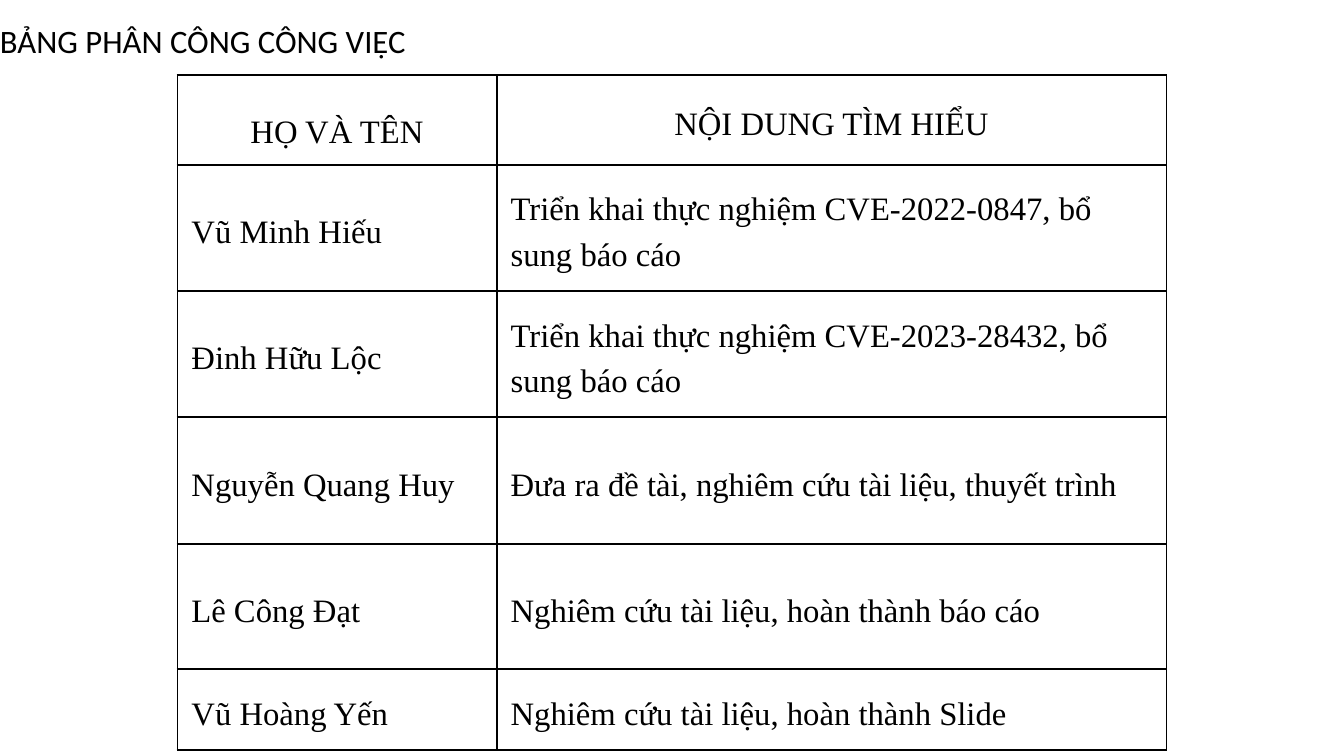
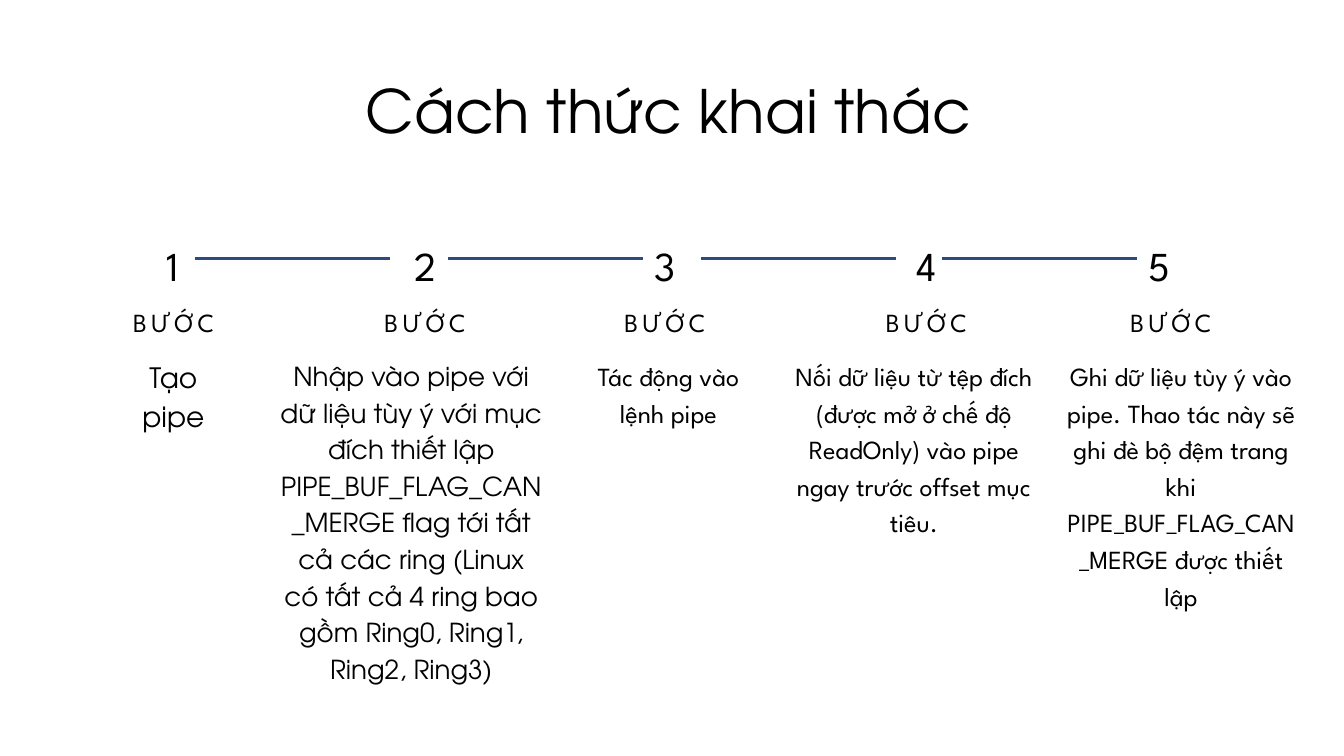
from lxml import etree
from pptx import Presentation
from pptx.dml.color import RGBColor
from pptx.enum.shapes import MSO_CONNECTOR
from pptx.enum.text import MSO_ANCHOR, PP_ALIGN
from pptx.oxml.ns import qn
from pptx.util import Pt

LEFT, CENTER = PP_ALIGN.LEFT, PP_ALIGN.CENTER
MIDDLE, BOTTOM = MSO_ANCHOR.MIDDLE, MSO_ANCHOR.BOTTOM
STRAIGHT = MSO_CONNECTOR.STRAIGHT
SIDE_LEFT, SIDE_RIGHT = 1, 3

BLACK, BLUE = "000000", "2B4B82"
SERIF, SANS = "Times New Roman", "Calibri"
ROUND, SPARTAN = "TeX Gyre Adventor", "League Spartan"

ASSIGNMENTS = [
    ("HỌ VÀ TÊN", "NỘI DUNG TÌM HIỂU"),
    ("Vũ Minh Hiếu", "Triển khai thực nghiệm CVE-2022-0847, bổ sung báo cáo"),
    ("Đinh Hữu Lộc", "Triển khai thực nghiệm CVE-2023-28432, bổ sung báo cáo"),
    ("Nguyễn Quang Huy", "Đưa ra đề tài, nghiêm cứu tài liệu, thuyết trình"),
    ("Lê Công Đạt", "Nghiêm cứu tài liệu, hoàn thành báo cáo"),
    ("Vũ Hoàng Yến", "Nghiêm cứu tài liệu, hoàn thành Slide"),
]
COLUMN_WIDTHS = [342, 717.84]
ROW_HEIGHTS = [95.8, 135.4, 135.4, 135.4, 134.6, 86.4]

STEPS = [
    (185, 186.1, 123.1, 125.3, ROUND, 30, "Tạo pipe"),
    (455.8, 455.4, 300.2, 280.8, ROUND, 28,
     "Nhập vào pipe với dữ liệu tùy ý với mục đích thiết lập "
     "PIPE_BUF_FLAG_CAN_MERGE flag tới tất cả các ring (Linux có tất cả "
     "4 ring bao gồm Ring0, Ring1, Ring2, Ring3)"),
    (712.8, 712.4, 632.2, 167.8, SPARTAN, 28, "Tác động vào lệnh pipe"),
    (992.9, 992.5, 851, 256.3, SPARTAN, 28,
     "Nối dữ liệu từ tệp đích (được mở ở chế độ ReadOnly) vào pipe ngay "
     "trước offset mục tiêu."),
    (1242, 1254.6, 1141.9, 247, SPARTAN, 28,
     "Ghi dữ liệu tùy ý vào pipe. Thao tác này sẽ ghi đè bộ đệm trang khi "
     "PIPE_BUF_FLAG_CAN_MERGE được thiết lập"),
]
NUMBER_WIDTH, NUMBER_HEIGHT, NUMBER_TOP = 47.5, 57.6, 248.4
LABEL_WIDTH = 194
LINE_STARTS, LINE_LENGTH = [208.8, 480, 751, 1009.5], 208.6
JOINED_STARTS, JOINED_ENDS = (0, 1), (1, 3)


def color(value):
    return RGBColor.from_string(value)


class Slides:
    def __init__(self):
        self.deck = Presentation()
        self.deck.slide_width, self.deck.slide_height = Pt(1440), Pt(810)
        self.page = None

    def new_page(self):
        self.page = self.deck.slides.add_slide(self.deck.slide_layouts[6])

    def add_words(self, frame, text, font, size, leading, align, spacing=0):
        frame.word_wrap = True
        para = frame.paragraphs[0]
        para.alignment = align
        para.line_spacing = Pt(leading)
        span = para.add_run()
        span.text = text
        span.font.name = font
        span.font.size = Pt(size)
        span.font.color.rgb = color(BLACK)
        if spacing:
            span._r.get_or_add_rPr().set("spc", str(round(spacing * 100)))

    def text(self, left, top, width, height, *style, **options):
        box = self.page.shapes.add_textbox(Pt(left), Pt(top), Pt(width), Pt(height))
        frame = box.text_frame
        frame.margin_left = frame.margin_right = 0
        frame.margin_top = frame.margin_bottom = 0
        self.add_words(frame, *style, **options)
        return box

    def line(self, left, right, y, start=None, end=None):
        line = self.page.shapes.add_connector(STRAIGHT, Pt(left), Pt(y), Pt(right), Pt(y))
        if start:
            line.begin_connect(start, SIDE_RIGHT)
        if end:
            line.end_connect(end, SIDE_LEFT)
        line.line.color.rgb = color(BLUE)
        line.line.width = Pt(3)
        etree.SubElement(line._element.spPr, qn("a:effectLst"))

    def border(self, cell):
        properties = cell._tc.get_or_add_tcPr()
        for side in ("lnL", "lnR", "lnT", "lnB"):
            edge = etree.SubElement(properties, qn(f"a:{side}"), w=str(Pt(2.25)))
            fill = etree.SubElement(edge, qn("a:solidFill"))
            etree.SubElement(fill, qn("a:srgbClr"), val=BLACK)

    def table(self, left, top, widths, heights, rows):
        table = self.page.shapes.add_table(
            len(rows), len(widths), Pt(left), Pt(top), Pt(sum(widths)), Pt(sum(heights))
        ).table
        for column, width in zip(table.columns, widths):
            column.width = Pt(width)
        for index, (row, height, texts) in enumerate(zip(table.rows, heights, rows)):
            row.height = Pt(height)
            for cell, text in zip(row.cells, texts):
                cell.margin_left = cell.margin_right = Pt(15)
                cell.margin_top = cell.margin_bottom = Pt(15)
                cell.vertical_anchor = MIDDLE
                self.border(cell)
                cell.fill.background()
                align = LEFT if index else CENTER
                self.add_words(cell.text_frame, text, SERIF, 35, 49, align)
        corner = table.cell(0, 0)
        corner.vertical_anchor = BOTTOM
        corner.text_frame.paragraphs[0].line_spacing = Pt(48.3)


def assignment_page(slides):
    slides.new_page()
    slides.table(190.1, 80.6, COLUMN_WIDTHS, ROW_HEIGHTS, ASSIGNMENTS)
    slides.text(0, 15, 540, 46, "BẢNG PHÂN CÔNG CÔNG VIỆC", SANS, 35, 49, LEFT)


def steps_page(slides):
    slides.new_page()
    slides.text(80.6, 79.2, 1270.8, 77.8, "Cách thức khai thác", ROUND, 64, 76.8, CENTER)
    numbers = []
    for number, (middle, label_middle, left, width, font, size, body) in enumerate(STEPS, 1):
        numbers.append(slides.text(
            middle - NUMBER_WIDTH / 2, NUMBER_TOP, NUMBER_WIDTH, NUMBER_HEIGHT,
            str(number), SPARTAN, 44, 61.6, CENTER, spacing=7.5))
        slides.text(label_middle - LABEL_WIDTH / 2, 322.6, LABEL_WIDTH, 38.2,
                    "BƯỚC", SPARTAN, 28, 39.2, CENTER, spacing=4.8)
        slides.text(left, 380.5, width, 351, body, font, size, size * 1.4, CENTER)
    for index, start in enumerate(LINE_STARTS):
        slides.line(start, start + LINE_LENGTH, NUMBER_TOP + NUMBER_HEIGHT / 2,
                    numbers[index] if index in JOINED_STARTS else None,
                    numbers[index + 1] if index in JOINED_ENDS else None)


def main():
    slides = Slides()
    assignment_page(slides)
    steps_page(slides)
    slides.deck.save("out.pptx")


if __name__ == "__main__":
    main()
